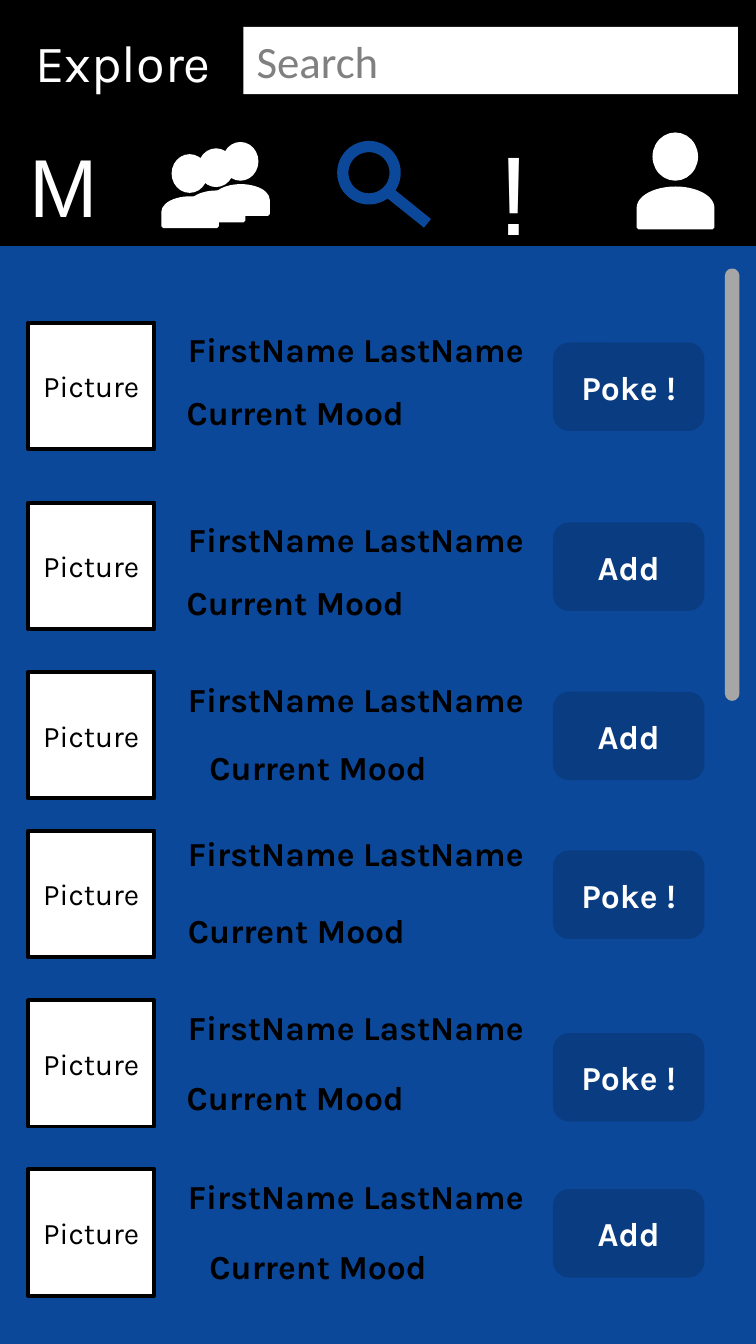
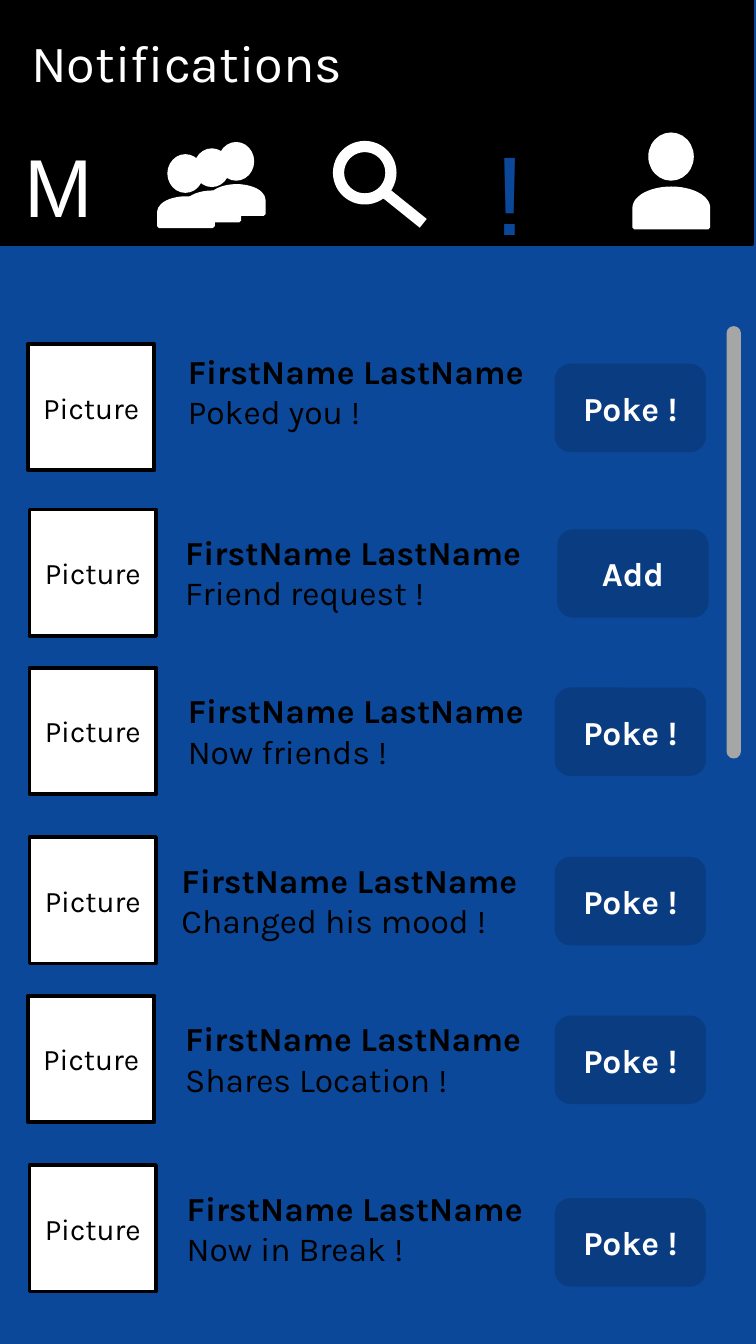
from dataclasses import dataclass
from typing import NamedTuple

from lxml import etree
from pptx import Presentation, util as u
from pptx.dml import color
from pptx.enum import shapes, text
from pptx.oxml import ns


@dataclass(frozen=True)
class Theme:
    """Colours, fonts and type sizes shared by the pages."""
    black: str = "000000"
    white: str = "FFFFFF"
    blue: str = "0C489A"
    navy: str = "0A3C81"
    grey: str = "808080"
    silver: str = "A6A6A6"
    body_font: str = "Karla"
    icon_font: str = "Arial"
    search_font: str = "Calibri"
    title_size: int = 28
    search_size: int = 24
    body_size: int = 18
    picture_size: int = 16
    letter_size: int = 44
    alert_size: int = 60
    outline: int = 2
    lens_outline: int = 6


class Contact(NamedTuple):
    """One row of the list, with its places in centimetres."""
    top: float
    picture_left: float
    name: tuple
    detail: tuple
    button: str
    button_left: float
    button_drop: float = 0.41


THEME = Theme()
PAGE_WIDTH, PAGE_HEIGHT, BAND_HEIGHT = 14.29, 25.4, 2.31
FULL_NAME = "FirstName LastName"
SHAPE = shapes.MSO_SHAPE
CENTER = text.PP_ALIGN.CENTER
LEFT = text.PP_ALIGN.LEFT
MIDDLE = text.MSO_ANCHOR.MIDDLE
TOP = text.MSO_ANCHOR.TOP
GROW = text.MSO_AUTO_SIZE.SHAPE_TO_FIT_TEXT
FIXED = text.MSO_AUTO_SIZE.NONE


def lengths(*values):
    """Turn centimetre values into lengths."""
    return [u.Cm(value) for value in values]


def assign(target, values):
    """Set every attribute in a dict of format values."""
    for name, value in values.items():
        setattr(target, name, value)


def paint(shape, fill, line=None, width=THEME.outline):
    """Give a shape a solid fill and an outline, or no outline."""
    shape.shadow.inherit = False
    shape.fill.solid()
    shape.fill.fore_color.rgb = color.RGBColor.from_string(fill)
    if line is None:
        shape.line.fill.background()
    else:
        shape.line.color.rgb = color.RGBColor.from_string(line)
        shape.line.width = u.Pt(width)


def write(box, lines, size, ink, font=THEME.body_font, align=LEFT, **frame_format):
    """Write (words, bold) lines into a box, one paragraph each."""
    frame = box.text_frame
    assign(frame, {"word_wrap": True, "vertical_anchor": TOP, **frame_format})
    for index, (words, bold) in enumerate(lines):
        para = frame.add_paragraph() if index else frame.paragraphs[0]
        para.alignment = align
        span = para.add_run()
        span.text = words
        assign(span.font, {"name": font, "size": u.Pt(size), "bold": bold})
        span.font.color.rgb = color.RGBColor.from_string(ink)


def add_block(page, kind, place, fill, line=None, width=THEME.outline):
    """Add a painted preset shape."""
    block = page.shapes.add_shape(kind, *lengths(*place))
    paint(block, fill, line, width)
    return block


def add_text(page, place, lines, size=THEME.body_size, ink=THEME.black,
             font=THEME.body_font):
    """Add a text box that grows with its text."""
    box = page.shapes.add_textbox(*lengths(*place))
    write(box, lines, size, ink, font, auto_size=GROW)


def add_title(page, words, shift):
    """Turn the title placeholder into the black top band."""
    title = page.shapes.title
    places = lengths(shift, 0, PAGE_WIDTH, BAND_HEIGHT)
    assign(title, dict(zip(("left", "top", "width", "height"), places)))
    paint(title, THEME.black, THEME.black)
    write(title, [(words, False)], THEME.title_size, THEME.white,
          vertical_anchor=MIDDLE, auto_size=FIXED, margin_left=u.Cm(0.67))


def add_search(page):
    """Add the search field."""
    field = add_block(page, SHAPE.RECTANGLE, (4.6, 0.51, 9.35, 1.27), THEME.white)
    write(field, [("Search", False)], THEME.search_size, THEME.grey,
          THEME.search_font, auto_size=GROW)


def add_person(page, left, top, head, body, offset):
    """Add a head above rounded shoulders."""
    add_block(page, SHAPE.OVAL, (left, top, *head), THEME.white, THEME.white)
    place = (left + offset[0], top + offset[1], *body)
    shoulders = add_block(page, SHAPE.FLOWCHART_DELAY, place, THEME.white, THEME.white)
    shoulders.rotation = 270


def add_magnifier(page, shift, ink):
    """Add a lens with its handle."""
    add_block(page, SHAPE.OVAL, (6.48 + shift, 2.77, 0.99, 0.99),
              THEME.black, ink, THEME.lens_outline)
    ends = lengths(7.32 + shift, 3.61, 8.08 + shift, 4.22)
    handle = page.shapes.add_connector(shapes.MSO_CONNECTOR.STRAIGHT, *ends)
    handle.line.color.rgb = color.RGBColor.from_string(ink)
    handle.line.width = u.Pt(THEME.lens_outline)
    etree.SubElement(handle.line._get_or_add_ln().getparent(), ns.qn("a:effectLst"))


def add_navigation(page, shift, active):
    """Add the icon band, with the active icon in blue."""
    inks = {name: THEME.blue if name == active else THEME.white
            for name in ("search", "alerts")}
    add_block(page, SHAPE.RECTANGLE, (shift, BAND_HEIGHT, PAGE_WIDTH, BAND_HEIGHT),
              THEME.black, THEME.black)
    add_text(page, (0.3 + shift, 2.44, 2.01, 2.13), [("M", False)],
             THEME.letter_size, THEME.white, THEME.icon_font)
    for left, top in ((3.28, 2.95), (3.78, 2.84), (4.24, 2.72)):
        add_person(page, left + shift, top, (0.61, 0.66), (0.53, 1.02), (0.05, 0.55))
    add_magnifier(page, shift, inks["search"])
    add_text(page, (9.17 + shift, 2.21, 1.19, 2.82), [("!", False)],
             THEME.alert_size, inks["alerts"], THEME.icon_font)
    add_person(page, 12.37 + shift, 2.54, (0.79, 0.84), (0.74, 1.4), (0.03, 0.69))


def add_scrollbar(page, left, top):
    """Add the rounded scroll handle."""
    bar = add_block(page, SHAPE.ROUNDED_RECTANGLE, (left, top, 0.2, 8.1),
                    THEME.silver, THEME.silver)
    bar.adjustments[0] = 0.5


def add_contact(page, contact):
    """Add the picture frame and the button of one row."""
    frame = add_block(page, SHAPE.RECTANGLE,
                      (contact.picture_left, contact.top, 2.39, 2.39),
                      THEME.white, THEME.black)
    write(frame, [("Picture", False)], THEME.picture_size, THEME.black,
          align=CENTER, vertical_anchor=MIDDLE)
    button = add_block(page, SHAPE.ROUNDED_RECTANGLE,
                       (contact.button_left, contact.top + contact.button_drop, 2.79, 1.6),
                       THEME.navy, THEME.navy)
    write(button, [(contact.button, True)], THEME.body_size, THEME.white,
          align=CENTER, vertical_anchor=MIDDLE)


def add_mood_row(page, contact):
    """Add a row whose name and mood stand in separate boxes."""
    add_contact(page, contact)
    for place, words in ((contact.name, FULL_NAME), (contact.detail, "Current Mood")):
        add_text(page, (*place, 7.52, 1.03), [(words, True)])


def add_notice_row(page, contact):
    """Add a row whose name and notice share one box."""
    add_contact(page, contact)
    add_text(page, (*contact.name, 7.21, 1.8),
             [(FULL_NAME, True), (contact.detail[0], False)])


def add_page(deck, title, shift, active, scrollbar):
    """Add a page with its title, navigation and scroll handle."""
    page = deck.slides.add_slide(deck.slide_layouts[5])
    page.background.fill.solid()
    page.background.fill.fore_color.rgb = color.RGBColor.from_string(THEME.blue)
    add_title(page, title, shift)
    add_navigation(page, shift, active)
    add_scrollbar(page, *scrollbar)
    return page


def add_explore(deck):
    """Build the page for finding people."""
    page = add_page(deck, "Explore", 0, "search", (13.74, 5.11))
    add_search(page)
    rows = (
        (6.1, 6.1, 3.28, 7.29, "Poke !", 0.41),
        (9.5, 9.68, 3.28, 10.87, "Add", 0.41),
        (12.7, 12.7, 3.71, 14, "Add", 0.41),
        (15.7, 15.62, 3.3, 17.07, "Poke !", 0.41),
        (18.9, 18.9, 3.28, 20.22, "Poke !", 0.66),
        (22.1, 22.1, 3.71, 23.42, "Add", 0.41),
    )
    for top, name_top, mood_left, mood_top, button, drop in rows:
        add_mood_row(page, Contact(top, 0.53, (3.3, name_top), (mood_left, mood_top),
                                   button, 10.49, drop))


def add_notifications(deck):
    """Build the page of recent notices."""
    page = add_page(deck, "Notifications", -0.08, "alerts", (13.77, 6.2))
    rows = (
        (6.5, 0.53, 3.3, 0, "Poked you !", "Poke !", 10.52, 0.41),
        (9.63, 0.56, 3.25, 0.3, "Friend request !", "Add", 10.57, 0.41),
        (12.62, 0.56, 3.3, 0.3, "Now friends !", "Poke !", 10.52, 0.41),
        (15.82, 0.56, 3.18, 0.3, "Changed his mood !", "Poke !", 10.52, 0.41),
        (18.82, 0.53, 3.25, 0.3, "Shares Location !", "Poke !", 10.52, 0.41),
        (22.02, 0.56, 3.28, 0.3, "Now in Break !", "Poke !", 10.52, 0.66),
    )
    for top, left, name_left, name_drop, notice, *button in rows:
        add_notice_row(page, Contact(top, left, (name_left, top + name_drop),
                                     (notice,), *button))


def main():
    """Build both pages and save the deck."""
    deck = Presentation()
    deck.slide_width, deck.slide_height = lengths(PAGE_WIDTH, PAGE_HEIGHT)
    add_explore(deck)
    add_notifications(deck)
    deck.save("out.pptx")


if __name__ == "__main__":
    main()
